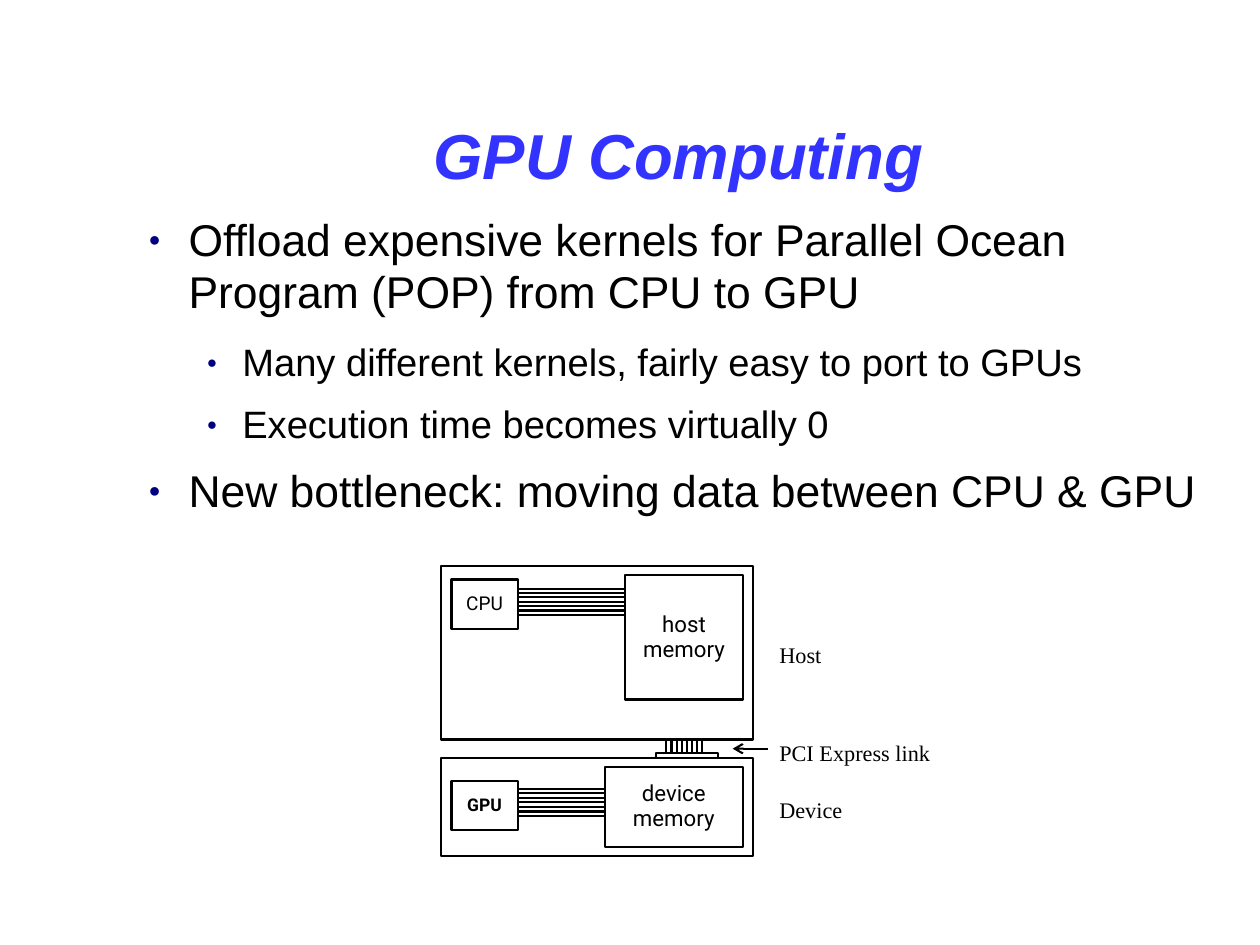
from lxml import etree
from pptx import Presentation
from pptx import util as u
from pptx.dml import color
from pptx.enum import shapes, text
from pptx.oxml import ns

INK = "000000"
CM_PER_INCH = 2.54
TITLE = dict(name="Arial", size=u.Pt(40), bold=True, italic=True)
TOPIC = dict(name="Arial", size=u.Pt(28))
DETAIL = dict(name="Arial", size=u.Pt(24))
CPU_FONT = dict(name="Roboto", size=u.Pt(12))
GPU_FONT = dict(name="Roboto", size=u.Pt(11), bold=True)
MEMORY_FONT = dict(name="Roboto", size=u.Pt(14))
LABEL = dict(name="Times New Roman", size=u.Pt(14))
LEVELS = [
    dict(font=TOPIC, indent=0.47, hang=0.35, after=14.1),
    dict(font=DETAIL, indent=0.94, hang=0.31, after=11.4),
]
POINTS = [
    (0, "Offload expensive kernels for Parallel Ocean Program (POP) from CPU to GPU"),
    (1, "Many different kernels, fairly easy to port to GPUs"),
    (1, "Execution time becomes virtually 0"),
    (0, "New bottleneck: moving data between CPU & GPU"),
]


def rgb(value):
    return color.RGBColor.from_string(value)


def inches(*values):
    return [u.Inches(value) for value in values]


def write(paragraph, words, formats, tint=INK, spacing=0.93):
    paragraph.line_spacing = spacing
    run = paragraph.add_run()
    run.text = words
    for name, value in formats.items():
        setattr(run.font, name, value)
    run.font.color.rgb = rgb(tint)


def paragraphs(frame, count):
    for _ in range(count - 1):
        frame.add_paragraph()
    return frame.paragraphs


def text_frame(slide, place, margins=None):
    frame = slide.shapes.add_textbox(*inches(*place)).text_frame
    frame.word_wrap = True
    if margins is not None:
        for side in ("left", "top", "right", "bottom"):
            setattr(frame, f"margin_{side}", u.Inches(margins))
    return frame


def add_title(slide):
    frame = text_frame(slide, (1.65, 0.69, 8.57, 1.38), 0)
    frame.vertical_anchor = text.MSO_ANCHOR.MIDDLE
    heading = frame.paragraphs[0]
    heading.alignment = text.PP_ALIGN.CENTER
    write(heading, "GPU Computing", TITLE, "3333FF", 0.97)


def add_bullet(paragraph, indent, hang):
    properties = paragraph._p.get_or_add_pPr()
    properties.set("marL", str(u.Inches(indent)))
    properties.set("indent", str(-u.Inches(hang)))
    tint = etree.SubElement(properties, ns.qn("a:buClr"))
    etree.SubElement(tint, ns.qn("a:srgbClr"), val="000080")
    etree.SubElement(properties, ns.qn("a:buSzPct"), val="45000")
    etree.SubElement(properties, ns.qn("a:buFont"), typeface="Arial")
    etree.SubElement(properties, ns.qn("a:buChar"), char="●")


def add_points(slide):
    frame = text_frame(slide, (1.18, 1.88, 9.58, 5.21), 0)
    for point, (depth, words) in zip(paragraphs(frame, len(POINTS)), POINTS):
        level = LEVELS[depth]
        point.level = depth
        add_bullet(point, level["indent"], level["hang"])
        point.space_after = u.Pt(level["after"])
        write(point, words, level["font"], spacing=0.97)


def add_box(slide, place, lines=(), formats=None, fill=None):
    box = slide.shapes.add_shape(shapes.MSO_SHAPE.RECTANGLE, *inches(*place))
    box.shadow.inherit = False
    if fill:
        box.fill.solid()
        box.fill.fore_color.rgb = rgb(fill)
    else:
        box.fill.background()
    box.line.color.rgb = rgb(INK)
    box.line.width = u.Pt(1.3)
    if lines:
        box.text_frame.vertical_anchor = text.MSO_ANCHOR.MIDDLE
        for paragraph, words in zip(paragraphs(box.text_frame, len(lines)), lines):
            paragraph.alignment = text.PP_ALIGN.CENTER
            write(paragraph, words, formats)
    return box


def add_wire(slide, start, end, arrow=False):
    wire = slide.shapes.add_connector(
        shapes.MSO_CONNECTOR.STRAIGHT, *inches(*start, *end))
    wire.line.color.rgb = rgb(INK)
    wire.line.width = u.Pt(1.3)
    if arrow:
        etree.SubElement(wire.line._get_or_add_ln(), ns.qn("a:tailEnd"), type="arrow")
    etree.SubElement(wire._element.spPr, ns.qn("a:effectLst"))
    return wire


def add_memory_bus(slide, left, right, top, bottom, count=7):
    step = (bottom - top) / (count - 1)
    for index in range(count):
        y = top + index * step
        add_wire(slide, (left, y), (right, y))


def add_pci_link(slide):
    slot = add_box(slide, (5.74, 6.59, 0.54, 0.04), fill="FFFFFF")
    for index in range(8):
        x = 5.83 + index * 0.045
        lane = add_wire(slide, (x, 6.47), (x, 6.59))
        if index == 4:
            lane.end_connect(slot, 0)
    add_wire(slide, (6.72, 6.55), (6.41, 6.55), arrow=True)


def add_label(slide, words, top, width):
    frame = text_frame(slide, (6.72, top, width, 0.36))
    write(frame.paragraphs[0], words, LABEL)


def main():
    deck = Presentation()
    deck.slide_width, deck.slide_height = inches(28 / CM_PER_INCH, 21 / CM_PER_INCH)
    slide = deck.slides.add_slide(deck.slide_layouts[6])
    add_title(slide)
    add_points(slide)

    add_box(slide, (3.86, 4.95, 2.73, 1.52))
    add_box(slide, (3.95, 5.07, 0.58, 0.43), ["CPU"], CPU_FONT)
    add_box(slide, (5.47, 5.03, 1.03, 1.09), ["host", "memory"], MEMORY_FONT)
    add_memory_bus(slide, 4.53, 5.47, 5.15, 5.38)

    add_box(slide, (3.86, 6.63, 2.73, 0.86))
    add_box(slide, (3.95, 6.83, 0.58, 0.43), ["GPU"], GPU_FONT)
    add_box(slide, (5.29, 6.71, 1.21, 0.7), ["device", "memory"], MEMORY_FONT)
    add_memory_bus(slide, 4.53, 5.29, 6.9, 7.14)

    add_pci_link(slide)
    add_label(slide, "Host", 5.58, 0.69)
    add_label(slide, "PCI Express link", 6.44, 1.74)
    add_label(slide, "Device", 6.94, 0.9)
    deck.save("out.pptx")


if __name__ == "__main__":
    main()
